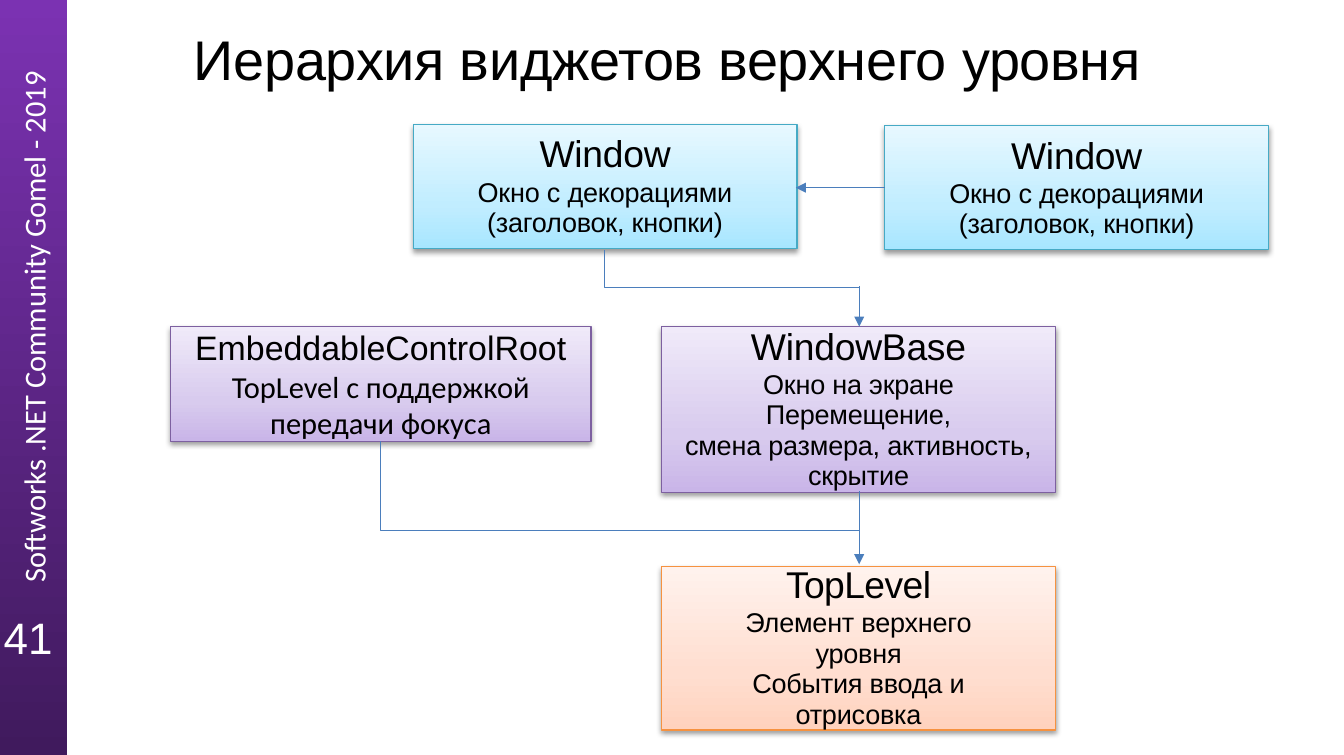
from copy import deepcopy
from lxml.etree import SubElement
from pptx import Presentation
from pptx.dml.color import RGBColor as RGB
from pptx.enum.shapes import MSO_CONNECTOR as LINK, MSO_SHAPE as SHAPE
from pptx.enum.text import MSO_ANCHOR as ANCHOR, PP_ALIGN as ALIGN
from pptx.oxml.ns import qn
from pptx.util import Inches, Pt

COLORS = {
    "black": "000000", "white": "FFFFFF", "link": "4B7EBC",
    "bar": ["7B32B2", "401A5D"],
    "blue": ["A7E6FF", "C1EDFF", "E7F8FF"], "blue line": "46AAC5",
    "violet": ["C9B5E8", "D8CBEE", "F0EAF9"], "violet line": "7D60A0",
    "orange": ["FFD2BD", "FFDED0", "FFF2ED"], "orange line": "F69240",
}
# The page measures 794 by 446 points
WIDTH, HEIGHT = Inches(794 / 72), Inches(446 / 72)
AXIS = 7.05
JOIN = 4.35


def color(name):
    return RGB.from_string(COLORS[name])


def style(para, size, tone="black", font="Arial", space=0):
    """Format all runs of a paragraph; space is letter spacing in points."""
    for run in para.runs:
        run.font.size = Pt(size)
        run.font.name = font
        run.font.color.rgb = color(tone)
        if space:
            run.font._element.set("spc", str(round(space * 100)))


def inset(frame, top=0):
    frame.margin_left = frame.margin_right = frame.margin_bottom = 0
    frame.margin_top = Inches(top)


def shade(shape, tones, angle):
    """Fill with a gradient of two tones, or three with the middle at 35%."""
    fill = shape.fill
    fill.gradient()
    fill.gradient_angle = angle
    if len(tones) == 3:
        first = shape._element.spPr.find(".//" + qn("a:gs"))
        middle = deepcopy(first)
        middle.set("pos", "35000")
        first.addnext(middle)
    for stop, tone in zip(fill.gradient_stops, tones):
        stop.color.rgb = RGB.from_string(tone)


def cast(shape):
    """Give the shape a soft shadow below it."""
    shape.shadow.inherit = False
    effects = shape._element.spPr.find(qn("a:effectLst"))
    outer = SubElement(effects, qn("a:outerShdw"), blurRad="40000",
                       dist="20000", dir="5400000", rotWithShape="0")
    tone = SubElement(outer, qn("a:srgbClr"), val=COLORS["black"])
    SubElement(tone, qn("a:alpha"), val="38000")


def add_bar(slide):
    bar = slide.shapes.add_shape(SHAPE.RECTANGLE, 0, 0, Inches(0.55), HEIGHT)
    bar.shadow.inherit = False
    bar.line.fill.background()
    shade(bar, COLORS["bar"], 270)


def add_text(slide, place):
    box = slide.shapes.add_textbox(*map(Inches, place))
    box.text_frame.word_wrap = True
    return box


def add_label(slide, text, place, size, font="Arial"):
    label = add_text(slide, place)
    label.text_frame.text = text
    style(label.text_frame.paragraphs[0], size, "white", font)
    return label


def add_title(slide, text):
    title = slide.shapes.title
    title.left, title.top = Inches(1.59), Inches(0.19)
    title.width, title.height = Inches(7.86), Inches(0.58)
    frame = title.text_frame
    frame.text = text
    frame.vertical_anchor = ANCHOR.TOP
    inset(frame, 0.01)
    para = frame.paragraphs[0]
    para.alignment = ALIGN.LEFT
    para.space_before = Pt(1)
    style(para, 33, space=-0.18)


def add_box(slide, place, tone):
    box = slide.shapes.add_shape(SHAPE.RECTANGLE, *map(Inches, place))
    shade(box, COLORS[tone], 90)
    box.line.color.rgb = color(tone + " line")
    box.line.width = Pt(0.75)
    cast(box)
    return box


def write(box, name, notes, top=0, lead=None, space=-0.1):
    """Put a class name and notes in a box; lead is the name's line height."""
    frame = box.text_frame
    frame.word_wrap = True
    inset(frame, top)
    frame.vertical_anchor = ANCHOR.TOP if lead else ANCHOR.MIDDLE
    frame.text = "\n".join([name] + notes)
    head, *rest = frame.paragraphs
    for para in frame.paragraphs:
        para.alignment = ALIGN.CENTER
    if not lead:
        style(head, 20)
        for para in rest:
            style(para, 18, font="Calibri")
        return
    head.line_spacing = Pt(lead)
    head.space_before = Pt(4.5 if top else 0)
    style(head, 22, space=space)
    for para in rest:
        para.line_spacing = Pt(18)
        style(para, 16, space=-0.1)
    rest[0].space_before = Pt(1)


def add_link(slide, start, end, kind=LINK.STRAIGHT, arrow=True):
    link = slide.shapes.add_connector(kind, *map(Inches, start + end))
    link.line.color.rgb = color("link")
    link.line.width = Pt(0.75)
    props = link._element.spPr
    SubElement(props, qn("a:effectLst"))
    if arrow:
        SubElement(props.find(qn("a:ln")), qn("a:tailEnd"), type="triangle")
    return link


def add_bend(slide, start, end):
    """Link that goes down and then right: an elbow turned by 270 degrees."""
    (x1, y1), (x2, y2) = start, end
    midx, midy = (x1 + x2) / 2, (y1 + y2) / 2
    dx, dy = (y2 - y1) / 2, (x2 - x1) / 2
    link = add_link(slide, (midx + dx, midy - dy), (midx - dx, midy + dy),
                    LINK.ELBOW, arrow=False)
    props = link._element.spPr
    props.find(qn("a:xfrm")).set("rot", "16200000")
    props.find(qn("a:prstGeom")).set("prst", "bentConnector2")


def main():
    deck = Presentation()
    deck.slide_width, deck.slide_height = WIDTH, HEIGHT
    slide = deck.slides.add_slide(deck.slide_layouts[5])

    add_bar(slide)
    side = add_label(slide, "Softworks .NET Community Gomel - 2019",
                     (-2.14, 2.26, 4.83, 0.4), 18, "Calibri")
    side.rotation = 270
    add_title(slide, "Иерархия виджетов верхнего уровня")
    page = add_label(slide, "41", (0.03, 5.03, 0.46, 0.43), 26)
    inset(page.text_frame)
    page.text_frame.paragraphs[0].line_spacing = Pt(29.8)

    add_box(slide, (5.43, 4.65, 3.23, 1.34), "orange")
    write(add_box(slide, (5.43, 2.68, 3.23, 1.36), "violet"), "WindowBase",
          ["Окно на экране\vПеремещение,",
           "смена размера, активность,\vскрытие"], lead=24.2)
    for left, top in ((3.39, 1.02), (7.26, 1.03)):
        write(add_box(slide, (left, top, 3.15, 1.02), "blue"), "Window",
              ["Окно с декорациями\v(заголовок, кнопки)"], 0.06, 25.8)
    write(add_text(slide, (6.09, 4.63, 1.91, 1.37)), "TopLevel",
          ["Элемент верхнего\vуровня", "События ввода и\vотрисовка"],
          lead=24.7, space=-0.3)
    write(add_box(slide, (1.4, 2.68, 3.45, 0.94), "violet"),
          "EmbeddableControlRoot", ["TopLevel с поддержкой\vпередачи фокуса"])

    add_link(slide, (7.26, 1.54), (6.53, 1.54))
    add_bend(slide, (4.96, 2.05), (AXIS, 2.36))
    add_link(slide, (AXIS, 2.35), (AXIS, 2.68))
    add_link(slide, (AXIS, 4.03), (AXIS, 4.63))
    add_bend(slide, (3.12, 3.62), (AXIS, JOIN))
    deck.save("out.pptx")


if __name__ == "__main__":
    main()
